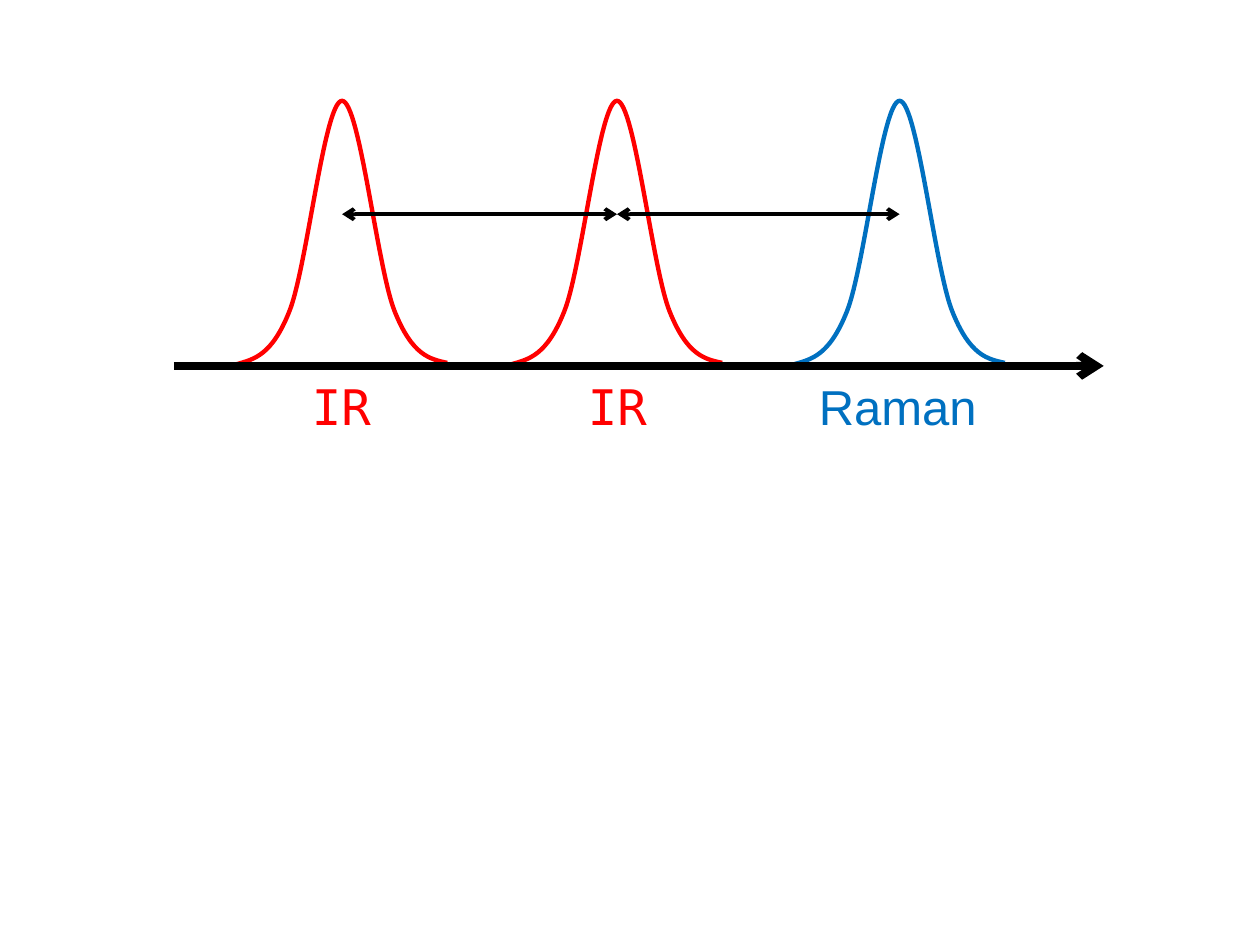
from lxml import etree
from pptx import Presentation
from pptx.dml.color import RGBColor
from pptx.enum.shapes import MSO_CONNECTOR
from pptx.enum.text import MSO_ANCHOR, PP_ALIGN
from pptx.oxml.ns import qn
from pptx.util import Inches, Pt

STRAIGHT = MSO_CONNECTOR.STRAIGHT
TOP = MSO_ANCHOR.TOP
LEFT, CENTER = PP_ALIGN.LEFT, PP_ALIGN.CENTER
RED, BLUE, BLACK = "FF0000", "0070C0", "000000"

presentation = Presentation()
presentation.slide_width = Inches(10)
presentation.slide_height = Inches(7.5)
slide = presentation.slides.add_slide(presentation.slide_layouts[6])
column = presentation.slide_width / 100
row = presentation.slide_height / 75
spectrum = slide.shapes.add_group_shape().shapes


def set_line(shape, color, width):
    shape.line.color.rgb = RGBColor.from_string(color)
    shape.line.width = Pt(width)


def add_arrow(start, end, level, width, ends):
    arrow = spectrum.add_connector(
        STRAIGHT, round(start * column), round(level * row),
        round(end * column), round(level * row))
    set_line(arrow, BLACK, width)
    line_xml = arrow.line._get_or_add_ln()
    for end_name in ends:
        etree.SubElement(line_xml, qn(f"a:{end_name}"), type="arrow")
    etree.SubElement(arrow._element.spPr, qn("a:effectLst"))


labels = [
    ("Raman", "Arial", BLUE, LEFT, 64, 14.8),
    ("IR", "DejaVu Sans Mono", RED, CENTER, 22.4, 9.4),
    ("IR", "DejaVu Sans Mono", RED, CENTER, 44.3, 9.4),
]
for label, font_name, color, alignment, left, width in labels:
    text_box = spectrum.add_textbox(
        round(left * column), round(29.4 * row),
        round(width * column), round(5.7 * row))
    for name, value in {"word_wrap": True, "vertical_anchor": TOP}.items():
        setattr(text_box.text_frame, name, value)
    paragraph = text_box.text_frame.paragraphs[0]
    paragraph.text = label
    paragraph.alignment = alignment
    for name, value in {"name": font_name, "size": Pt(28)}.items():
        setattr(paragraph.font, name, value)
    paragraph.font.color.rgb = RGBColor.from_string(color)

peaks = [(27.15, RED), (48.97, RED), (71.4, BLUE)]
curve_levels = [28.9, 28.5, 28.2, 24.7, 21.2, 8, 8, 8, 21.2, 24.7, 28.2, 28.5, 28.8]
half_width = 8.35
step = 2 * half_width / (len(curve_levels) - 1)
for center, color in peaks:
    points = [(round((center - half_width + index * step) * column), round(level * row))
              for index, level in enumerate(curve_levels)]
    builder = spectrum.build_freeform(*points[0])
    builder.add_line_segments(points[1:], close=False)
    peak = builder.convert_to_shape()
    peak.shadow.inherit = False
    peak.fill.background()
    set_line(peak, color, 2.5)
    segments = list(peak._element.iter(qn("a:lnTo")))
    for first in range(0, len(segments), 3):
        bezier = etree.SubElement(segments[first].getparent(), qn("a:cubicBezTo"))
        for segment in segments[first:first + 3]:
            bezier.append(segment[0])
            segment.getparent().remove(segment)

add_arrow(13.8, 87.6, 29.04, 4.5, ["tailEnd"])
for (left_center, _), (right_center, _) in zip(peaks, peaks[1:]):
    add_arrow(left_center, right_center, 17, 2.25, ["headEnd", "tailEnd"])

presentation.save("out.pptx")
